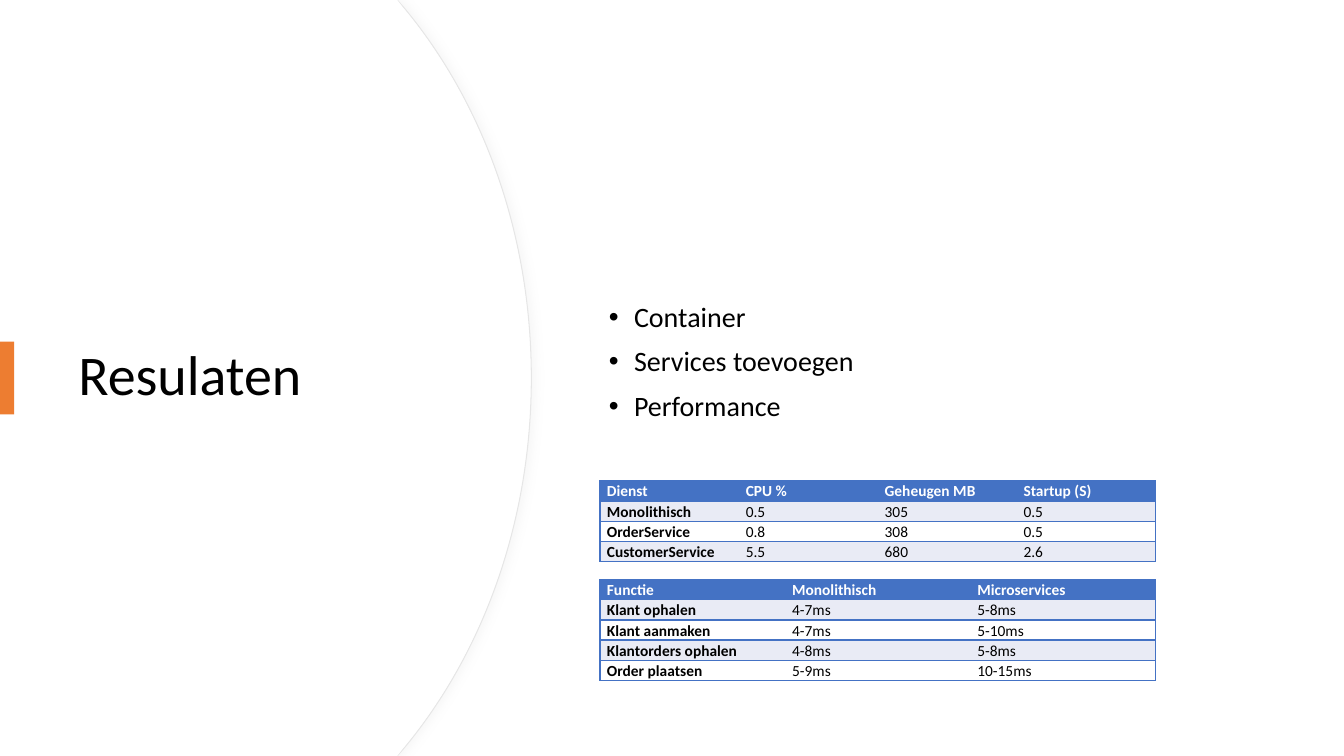
from dataclasses import dataclass

from lxml.etree import SubElement
from pptx import Presentation
from pptx.dml.color import RGBColor as Color
from pptx.enum.shapes import MSO_SHAPE as Preset
from pptx.enum.text import MSO_ANCHOR as Anchor
from pptx.oxml.ns import qn
from pptx.util import Inches, Pt


@dataclass(frozen=True)
class Theme:
    """Colours, font and type sizes of the slide."""
    font: str = "Calibri"
    white: str = "FFFFFF"
    black: str = "000000"
    accent: str = "ED7D31"
    blue: str = "4472C4"
    band: str = "E9EBF5"
    outline: str = "E6E6E6"
    shadow: str = "D9D9D9"
    title_size: int = 40
    body_size: int = 20
    table_size: int = 11


class SlideBuilder:
    """Draws styled elements on one page."""

    def __init__(self, page, theme):
        """Keep the page and its theme."""
        self.page = page
        self.theme = theme

    def style(self, para, size, color, spacing, bold=False):
        """Format a paragraph and its runs."""
        para.line_spacing = spacing
        for span in para.runs:
            span.font.name = self.theme.font
            span.font.size = Pt(size)
            span.font.bold = bold
            span.font.color.rgb = Color.from_string(color)

    def paint(self, shape, color, outline=None):
        """Fill a shape and set its outline."""
        shape.shadow.inherit = False
        shape.fill.solid()
        shape.fill.fore_color.rgb = Color.from_string(color)
        if outline:
            shape.line.color.rgb = Color.from_string(outline)
            shape.line.width = Pt(0.75)
        else:
            shape.line.fill.background()

    def panel(self, right, outline=None):
        """Draw the left panel with its curved right edge."""
        near, far = right - 1.26, right - 0.48
        corners = [(3.94, 0), (near, 0.08), (right, 3.75), (near, 7.42), (3.94, 7.5), (0, 7.5)]
        builder = self.page.shapes.build_freeform(0, 0, scale=Inches(1) / 1000)
        builder.add_line_segments([(round(x * 1000), round(y * 1000)) for x, y in corners])
        shape = builder.convert_to_shape()
        segments = list(shape.element.iter(qn("a:lnTo")))
        handles = ([(far, 1.02), (right, 2.32)], [(right, 5.18), (far, 6.48)])
        for segment, pair in zip(segments[2:4], handles):
            curve = segment.makeelement(qn("a:cubicBezTo"))
            for x, y in pair:
                SubElement(curve, qn("a:pt"), x=str(round(x * 1000)), y=str(round(y * 1000)))
            curve.append(segment[0])
            segment.getparent().replace(segment, curve)
        SubElement(segments[0].getparent(), qn("a:close"))
        self.paint(shape, self.theme.white, outline)
        return shape

    def soft_shadow(self, shape):
        """Cast a soft shadow to the right."""
        effects = shape.element.spPr.find(qn("a:effectLst"))
        outer = SubElement(effects, qn("a:outerShdw"), blurRad=str(Pt(6)),
                           dist=str(Pt(3)), dir="0", algn="l", rotWithShape="0")
        color = SubElement(outer, qn("a:srgbClr"), val=self.theme.shadow)
        SubElement(color, qn("a:alpha"), val="20000")

    def bar(self, left, top, width, height):
        """Draw the accent bar."""
        shape = self.page.shapes.add_shape(
            Preset.RECTANGLE, Inches(left), Inches(top), Inches(width), Inches(height))
        self.paint(shape, self.theme.accent)

    def text(self, lines, left, top, width, height, size, bullets=False):
        """Add a vertically centred text box."""
        box = self.page.shapes.add_textbox(
            Inches(left), Inches(top), Inches(width), Inches(height))
        frame = box.text_frame
        frame.word_wrap = True
        frame.vertical_anchor = Anchor.MIDDLE
        frame.text = "\n".join(lines)
        for para in frame.paragraphs:
            self.style(para, size, self.theme.black, 0.9)
            if bullets:
                para.space_before = Pt(10)
                properties = para._p.get_or_add_pPr()
                properties.set("marL", str(Inches(0.25)))
                properties.set("indent", str(-Inches(0.25)))
                SubElement(properties, qn("a:buFont"), typeface="Arial")
                SubElement(properties, qn("a:buChar"), char="•")

    def borders(self, cell, first, last):
        """Rule the rows and outer sides of a cell."""
        properties = cell._tc.get_or_add_tcPr()
        for side, shown in (("L", first), ("R", last), ("T", True), ("B", True)):
            line = SubElement(properties, qn(f"a:ln{side}"), w=str(Pt(1)))
            if shown:
                fill = SubElement(line, qn("a:solidFill"))
                SubElement(fill, qn("a:srgbClr"), val=self.theme.blue)
            else:
                SubElement(line, qn("a:noFill"))

    def table(self, rows, left, top, width, row_height):
        """Add a banded table with a header row."""
        theme = self.theme
        count = len(rows[0])
        table = self.page.shapes.add_table(
            len(rows), count, Inches(left), Inches(top), Inches(width),
            Inches(row_height * len(rows))).table
        for column in table.columns:
            column.width = Inches(width / count)
        for r, row in enumerate(rows):
            fill = theme.blue if r == 0 else theme.band if r % 2 else theme.white
            for c, value in enumerate(row):
                cell = table.cell(r, c)
                cell.text = value
                cell.margin_left = cell.margin_right = Inches(0.07)
                cell.margin_top = cell.margin_bottom = 0
                self.borders(cell, c == 0, c == count - 1)
                cell.fill.solid()
                cell.fill.fore_color.rgb = Color.from_string(fill)
                self.style(cell.text_frame.paragraphs[0], theme.table_size,
                           theme.black if r else theme.white, 1.07, r == 0 or c == 0)


SERVICES = [
    ("Dienst", "CPU %", "Geheugen MB", "Startup (S)"),
    ("Monolithisch", "0.5", "305", "0.5"),
    ("OrderService", "0.8", "308", "0.5"),
    ("CustomerService", "5.5", "680", "2.6"),
]
FUNCTIONS = [
    ("Functie", "Monolithisch", "Microservices"),
    ("Klant ophalen", "4-7ms", "5-8ms"),
    ("Klant aanmaken", "4-7ms", "5-10ms"),
    ("Klantorders ophalen", "4-8ms", "5-8ms"),
    ("Order plaatsen", "5-9ms", "10-15ms"),
]


def main():
    """Build and save the results slide."""
    deck = Presentation()
    deck.slide_width, deck.slide_height = Inches(13.33), Inches(7.5)
    theme = Theme()
    builder = SlideBuilder(deck.slides.add_slide(deck.slide_layouts[6]), theme)
    builder.soft_shadow(builder.panel(5.27, theme.outline))
    builder.panel(5.26)
    builder.text(["Resulaten"], 0.68, 1.27, 3.94, 4.95, theme.title_size)
    builder.bar(0, 3.39, 0.14, 0.72)
    builder.text(["Container", "Services toevoegen", "Performance"],
                 5.94, 1.02, 6.47, 5.16, theme.body_size, bullets=True)
    for rows, top in ((SERVICES, 4.77), (FUNCTIONS, 5.75)):
        builder.table(rows, 5.95, top, 5.51, 0.2)
    deck.save("out.pptx")


if __name__ == "__main__":
    main()
